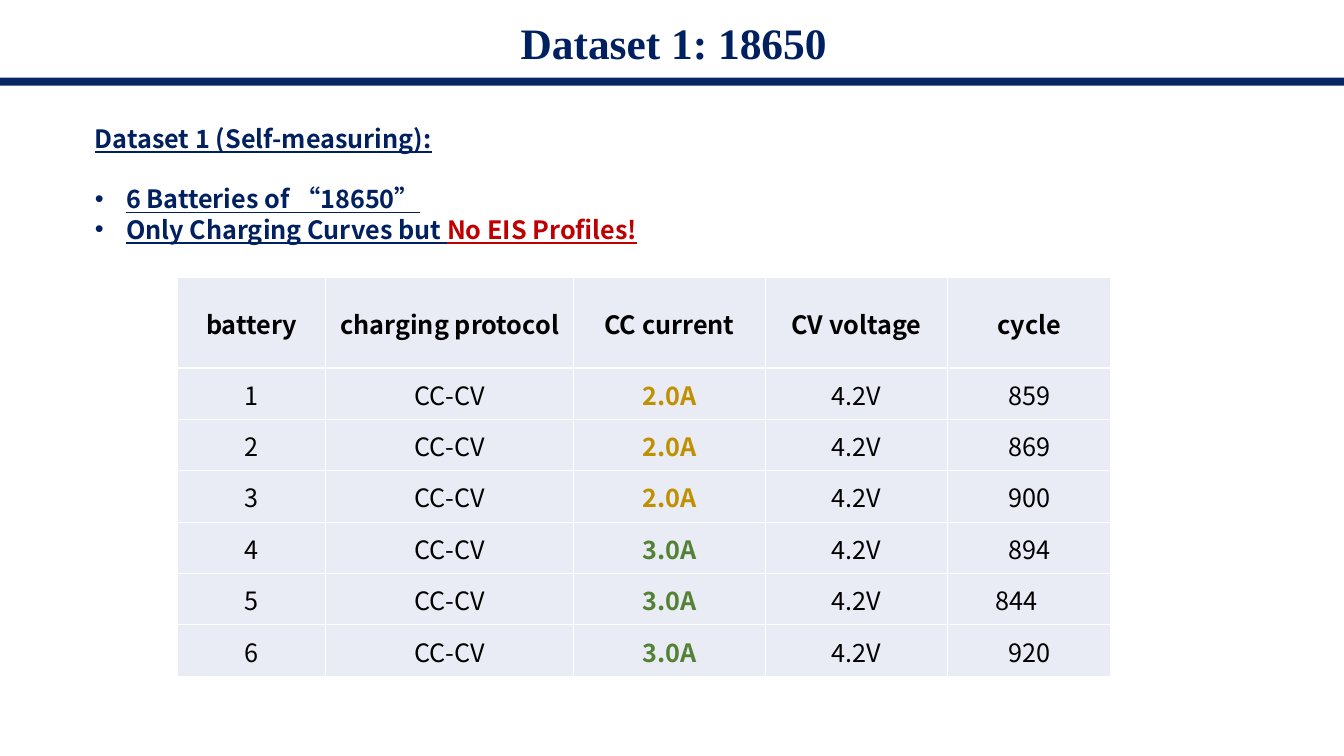
"""Build the slide that lists the 18650 batteries of dataset 1."""
import lxml.etree
import pptx
import pptx.dml.color
import pptx.enum.lang
import pptx.enum.shapes
import pptx.enum.text
import pptx.oxml
import pptx.oxml.ns
import pptx.util

Inches = pptx.util.Inches
Pt = pptx.util.Pt
RGBColor = pptx.dml.color.RGBColor
qn = pptx.oxml.ns.qn
CENTER = pptx.enum.text.PP_ALIGN.CENTER
MIDDLE = pptx.enum.text.MSO_ANCHOR.MIDDLE

NAVY = RGBColor(0x00, 0x20, 0x60)
RED = RGBColor(0xC0, 0x00, 0x00)
GOLD = RGBColor(0xBF, 0x90, 0x00)
GREEN = RGBColor(0x54, 0x82, 0x35)
BLACK = RGBColor(0x00, 0x00, 0x00)
WHITE = RGBColor(0xFF, 0xFF, 0xFF)
CELL_FILL = RGBColor(0xE9, 0xEB, 0xF5)

SERIF = "Times New Roman"
SANS = "Noto Sans CJK SC"
CHINESE = pptx.enum.lang.MSO_LANGUAGE_ID.SIMPLIFIED_CHINESE
TITLE_FORMAT = {"size": Pt(31), "name": SERIF, "bold": True}
LIST_FORMAT = {"size": Pt(18), "name": SANS, "bold": True,
               "underline": True, "language_id": CHINESE}
CELL_FORMAT = {"size": Pt(18), "name": SANS}

HEADERS = ["battery", "charging protocol", "CC current", "CV voltage", "cycle"]
CYCLES = ["859", "869", "900", "894", "844　", "920"]
CURRENTS = [("2.0A", GOLD)] * 3 + [("3.0A", GREEN)] * 3
COL_WIDTHS = [1.47, 2.46, 1.9, 1.81, 1.62]
HEADER_HEIGHT, ROW_HEIGHT = 0.9, 0.51


def set_attrs(obj, values):
    """Set each named attribute of an object."""
    for name, value in values.items():
        setattr(obj, name, value)


def place(sp, left, top, width, height):
    """Move and size a shape, in inches."""
    set_attrs(sp, {"left": Inches(left), "top": Inches(top),
                   "width": Inches(width), "height": Inches(height)})


def add_run(p, text, fmt, color):
    """Add a formatted run whose font also covers East Asian characters."""
    r = p.add_run()
    r.text = text
    set_attrs(r.font, fmt)
    r.font.color.rgb = color
    ea = lxml.etree.SubElement(r.font._element, qn("a:ea"))
    ea.set("typeface", fmt["name"])


def set_bullet(p, char=None):
    """Give a paragraph a hanging bullet, or none."""
    pPr = p._p.get_or_add_pPr()
    indent = Inches(0.31) if char else 0
    pPr.set("marL", str(indent))
    pPr.set("indent", str(-indent))
    if char:
        lxml.etree.SubElement(pPr, qn("a:buChar")).set("char", char)
    else:
        lxml.etree.SubElement(pPr, qn("a:buNone"))


def fill_title(sp, text):
    """Place and write the slide title."""
    place(sp, 0.02, 0.14, 13.32, 0.63)
    tf = sp.text_frame
    set_attrs(tf, {"vertical_anchor": MIDDLE, "word_wrap": True,
                   "auto_size": pptx.enum.text.MSO_AUTO_SIZE.NONE})
    p = tf.paragraphs[0]
    set_attrs(p, {"alignment": CENTER, "line_spacing": 0.9})
    add_run(p, text, TITLE_FORMAT, NAVY)


def add_band(s):
    """Draw the slightly transparent band under the title."""
    sp = s.shapes.add_shape(pptx.enum.shapes.MSO_SHAPE.RECTANGLE, Inches(-0.02),
                            Inches(0.77), Inches(13.36), Inches(0.08))
    sp.shadow.inherit = False
    sp.line.fill.background()
    sp.fill.solid()
    sp.fill.fore_color.rgb = NAVY
    clr = sp._element.spPr.find(".//" + qn("a:srgbClr"))
    lxml.etree.SubElement(clr, qn("a:alpha")).set("val", "97000")


def fill_list(sp, items):
    """Write the list from (bullet, space before, runs) items."""
    place(sp, 0.84, 1.17, 6.59, 1.31)
    tf = sp.text_frame
    set_attrs(tf, {"word_wrap": True, "vertical_anchor": pptx.enum.text.MSO_ANCHOR.TOP,
                   "auto_size": pptx.enum.text.MSO_AUTO_SIZE.SHAPE_TO_FIT_TEXT})
    for i, (bullet, space, runs) in enumerate(items):
        p = tf.add_paragraph() if i else tf.paragraphs[0]
        set_bullet(p, bullet)
        set_attrs(p, {"space_before": Pt(space), "line_spacing": 1.0})
        for text, color in runs:
            add_run(p, text, LIST_FORMAT, color)


def add_borders(cell):
    """Draw white one-point borders around a cell."""
    tcPr = cell._tc.get_or_add_tcPr()
    for side in ("lnL", "lnR", "lnT", "lnB"):
        ln = lxml.etree.SubElement(tcPr, qn("a:" + side), w=str(Pt(1)))
        fill = lxml.etree.SubElement(ln, qn("a:solidFill"))
        lxml.etree.SubElement(fill, qn("a:srgbClr"), val=str(WHITE))


def fill_cell(cell, text, color, bold):
    """Format and write one table cell."""
    add_borders(cell)
    cell.fill.solid()
    cell.fill.fore_color.rgb = CELL_FILL
    set_attrs(cell, {"vertical_anchor": MIDDLE, "margin_left": Inches(0.01),
                     "margin_right": Inches(0.01), "margin_top": Inches(0.01),
                     "margin_bottom": 0})
    p = cell.text_frame.paragraphs[0]
    p.alignment = CENTER
    add_run(p, text, {**CELL_FORMAT, "bold": bold}, color)


def add_battery_table(s):
    """Add the table of charging settings and cycle counts."""
    rows = [[(text, BLACK, True) for text in HEADERS]]
    for i, ((current, color), cycle) in enumerate(zip(CURRENTS, CYCLES), 1):
        rows.append([(str(i), BLACK, False), ("CC-CV", BLACK, False),
                     (current, color, True), ("4.2V", BLACK, False),
                     (cycle, BLACK, False)])
    height = HEADER_HEIGHT + ROW_HEIGHT * len(CYCLES)
    table = s.shapes.add_table(len(rows), len(HEADERS), Inches(1.76), Inches(2.75),
                               Inches(sum(COL_WIDTHS)), Inches(height)).table
    set_attrs(table, {"first_row": False, "horz_banding": False})
    for col, width in zip(table.columns, COL_WIDTHS):
        col.width = Inches(width)
    for i, values in enumerate(rows):
        table.rows[i].height = Inches(ROW_HEIGHT if i else HEADER_HEIGHT)
        for j, value in enumerate(values):
            fill_cell(table.cell(i, j), *value)


def main():
    """Build and save the slide."""
    prs = pptx.Presentation()
    set_attrs(prs, {"slide_width": Inches(13.33), "slide_height": Inches(7.5)})
    s = prs.slides.add_slide(prs.slide_layouts[1])
    fill_title(s.shapes.title, "Dataset 1: 18650")
    add_band(s)
    fill_list(s.placeholders[1], [
        (None, 0, [("Dataset 1 (Self-measuring):", NAVY)]),
        ("•", 21.8, [("6 Batteries of “18650”", NAVY)]),
        ("•", 0, [("Only Charging Curves but ", NAVY), ("No EIS Profiles!", RED)]),
    ])
    add_battery_table(s)
    prs.save("out.pptx")


if __name__ == "__main__":
    main()
